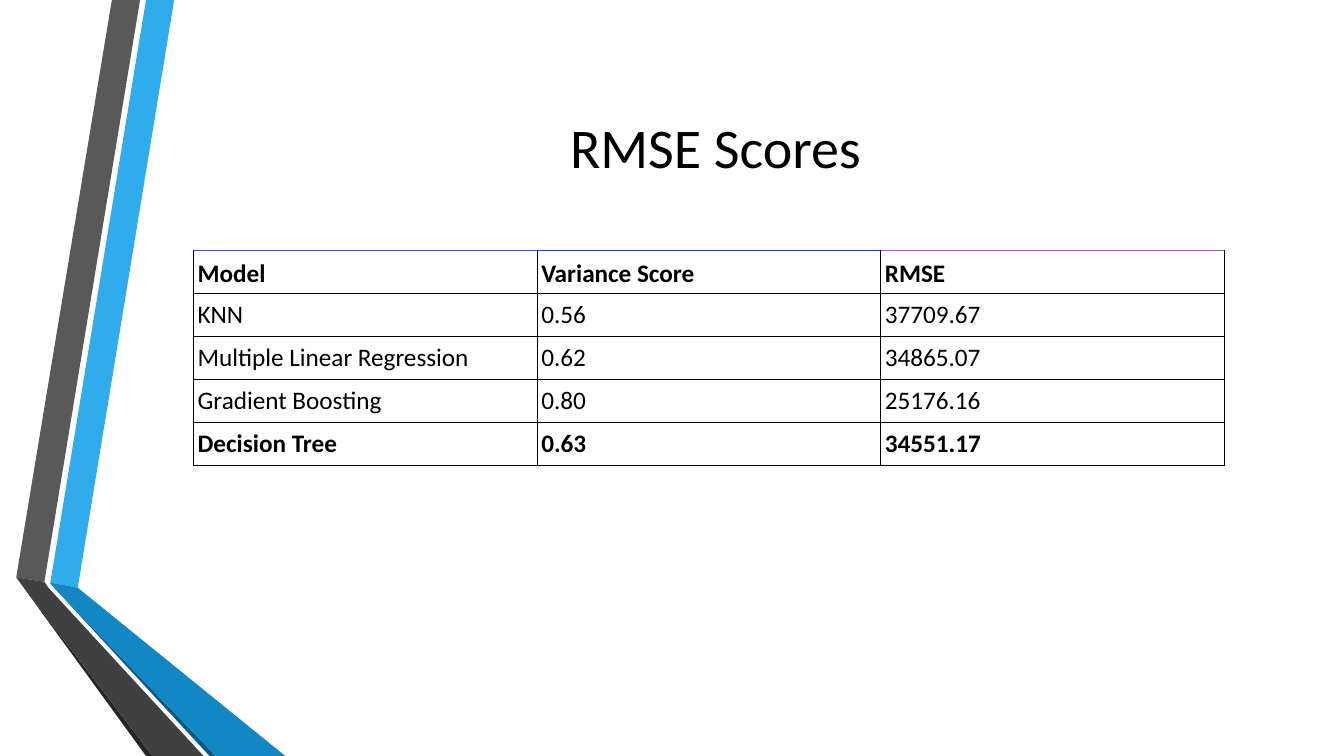
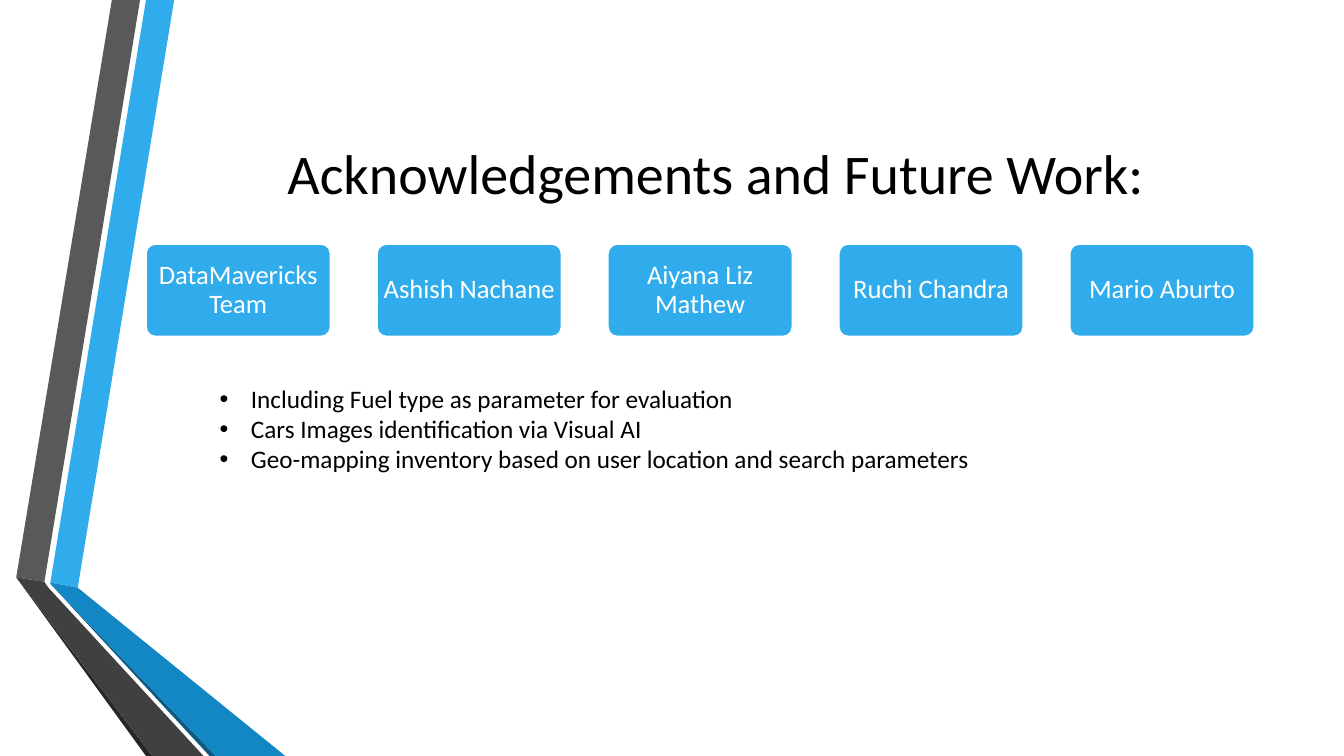
"""Build two slides: a table of model scores, and acknowledgements with future work."""

import dataclasses

import lxml.etree
import pptx
import pptx.dml.color
import pptx.enum.shapes
import pptx.enum.text
import pptx.oxml.ns
import pptx.util

Cm = pptx.util.Cm
Pt = pptx.util.Pt
RGB = pptx.dml.color.RGBColor.from_string
ALIGN = pptx.enum.text.PP_ALIGN
ANCHOR = pptx.enum.text.MSO_ANCHOR
qn = pptx.oxml.ns.qn


@dataclasses.dataclass(frozen=True)
class Theme:
    font: str = "Calibri"
    text: str = "000000"
    paper: str = "FFFFFF"
    blue: str = "30ACEC"
    blue_mid: str = "1287C3"
    blue_dark: str = "0C5A82"
    grey: str = "595959"
    grey_mid: str = "404040"
    grey_dark: str = "262626"
    header_tops: tuple = ("4844E6", "0044E6", "B846E6")
    title_size: int = 40
    card_size: int = 19
    body_size: int = 18
    card_line: float = 1.25
    border: float = 0.75


theme = Theme()


def add_run(p, text, size, color=theme.text, bold=False):
    r = p.add_run()
    r.text = text
    r.font.name = theme.font
    r.font.size = Pt(size)
    r.font.bold = bold
    r.font.color.rgb = RGB(color)


def add_titled_slide(layout, title, height):
    s = prs.slides.add_slide(layout)
    sp = s.shapes.title
    sp.left, sp.top, sp.width, sp.height = Cm(4.11), Cm(1.9), Cm(27.84), Cm(height)
    tf = sp.text_frame
    tf.vertical_anchor = ANCHOR.MIDDLE
    p = tf.paragraphs[0]
    p.alignment = ALIGN.CENTER
    add_run(p, title, theme.title_size)
    return s


prs = pptx.Presentation()
prs.slide_width, prs.slide_height = Cm(33.87), Cm(19.05)
title_only = prs.slide_layouts.get_by_name("Title Only")
title_and_content = prs.slide_layouts.get_by_name("Title and Content")

s = add_titled_slide(title_only, "RMSE Scores", 3.56)

ribbons = [
    (theme.blue, [(1.27, 14.68), (1.96, 14.81), (4.39, 0), (3.68, 0)]),
    (theme.grey, [(3.53, 0), (2.82, 0), (0.41, 14.55), (1.12, 14.66)]),
    (theme.grey_dark, [(0.41, 14.55), (3.68, 19.05), (3.84, 19.05)]),
    (theme.blue_dark, [(1.27, 14.71), (5.28, 19.05), (5.44, 19.05)]),
    (theme.blue_mid, [(1.27, 14.71), (5.44, 19.05), (7.19, 19.05), (1.96, 14.81), (1.27, 14.68)]),
    (theme.grey_mid, [(5.13, 19.05), (1.22, 14.81), (1.12, 14.66), (0.41, 14.55), (3.84, 19.05)]),
]
master_tree = prs.slide_master.shapes.element
for i, (color, corners) in enumerate(ribbons):
    points = [(Cm(x), Cm(y)) for x, y in corners]
    builder = s.shapes.build_freeform(*points[0], scale=1.0)
    builder.add_line_segments(points[1:], close=True)
    sp = builder.convert_to_shape()
    sp.shadow.inherit = False
    sp.fill.solid()
    sp.fill.fore_color.rgb = RGB(color)
    sp.line.fill.background()
    sp.element.nvSpPr.cNvPr.set("id", str(100 + i))
    master_tree.insert(2 + i, sp.element)

scores = [
    ("Model", "Variance Score", "RMSE"),
    ("KNN", "0.56", "37709.67"),
    ("Multiple Linear Regression", "0.62", "34865.07"),
    ("Gradient Boosting", "0.80", "25176.16"),
    ("Decision Tree", "0.63", "34551.17"),
]
bold_rows = (0, len(scores) - 1)
col_width, row_height = 8.66, 1.08
table = s.shapes.add_table(
    len(scores), 3, Cm(4.88), Cm(6.32), Cm(3 * col_width), Cm(len(scores) * row_height)
).table
for column in table.columns:
    column.width = Cm(col_width)
for i, values in enumerate(scores):
    table.rows[i].height = Cm(row_height)
    for j, value in enumerate(values):
        cell = table.cell(i, j)
        cell.margin_left = cell.margin_right = cell.margin_top = cell.margin_bottom = Cm(0.1)
        cell.vertical_anchor = ANCHOR.MIDDLE if i else ANCHOR.BOTTOM
        cell.fill.solid()
        cell.fill.fore_color.rgb = RGB(theme.paper)
        add_run(cell.text_frame.paragraphs[0], value, theme.body_size, bold=i in bold_rows)
        tcPr = cell._tc.get_or_add_tcPr()
        for k, side in enumerate(("lnL", "lnR", "lnT", "lnB")):
            color = theme.header_tops[j] if i == 0 and side == "lnT" else theme.text
            ln = lxml.etree.Element(qn(f"a:{side}"), w=str(Pt(theme.border)))
            fill = lxml.etree.SubElement(ln, qn("a:solidFill"))
            lxml.etree.SubElement(fill, qn("a:srgbClr"), val=color)
            tcPr.insert(k, ln)

s = add_titled_slide(title_and_content, "Acknowledgements and Future Work:", 4.88)

names = ["DataMavericks Team", "Ashish Nachane", "Aiyana Liz Mathew", "Ruchi Chandra", "Mario Aburto"]
card_left, card_pitch = 3.68, 5.82
for i, name in enumerate(names):
    sp = s.shapes.add_shape(
        pptx.enum.shapes.MSO_SHAPE.ROUNDED_RECTANGLE,
        Cm(card_left + i * card_pitch), Cm(6.15), Cm(4.65), Cm(2.33),
    )
    sp.adjustments[0] = 0.1
    sp.shadow.inherit = False
    sp.fill.solid()
    sp.fill.fore_color.rgb = RGB(theme.blue)
    sp.line.color.rgb = RGB(theme.paper)
    sp.line.width = Pt(theme.card_line)
    tf = sp.text_frame
    tf.word_wrap = True
    tf.vertical_anchor = ANCHOR.MIDDLE
    tf.margin_left = tf.margin_right = tf.margin_top = tf.margin_bottom = Cm(0.08)
    p = tf.paragraphs[0]
    p.alignment = ALIGN.CENTER
    p.line_spacing = 0.9
    add_run(p, name, theme.card_size, theme.paper)

future_work = [
    "Including Fuel type as parameter for evaluation",
    "Cars Images identification via Visual AI",
    "Geo-mapping inventory based on user location and search parameters",
]
sp = s.placeholders[1]
sp.left, sp.top, sp.width, sp.height = Cm(5.28), Cm(9.53), Cm(25.76), Cm(4.11)
tf = sp.text_frame
for i, item in enumerate(future_work):
    p = tf.add_paragraph() if i else tf.paragraphs[0]
    p.space_before = Pt(0)
    pPr = p._p.get_or_add_pPr()
    pPr.set("marL", str(Cm(0.79)))
    pPr.set("indent", str(Cm(-0.79)))
    add_run(p, item, theme.body_size)

prs.save("out.pptx")
